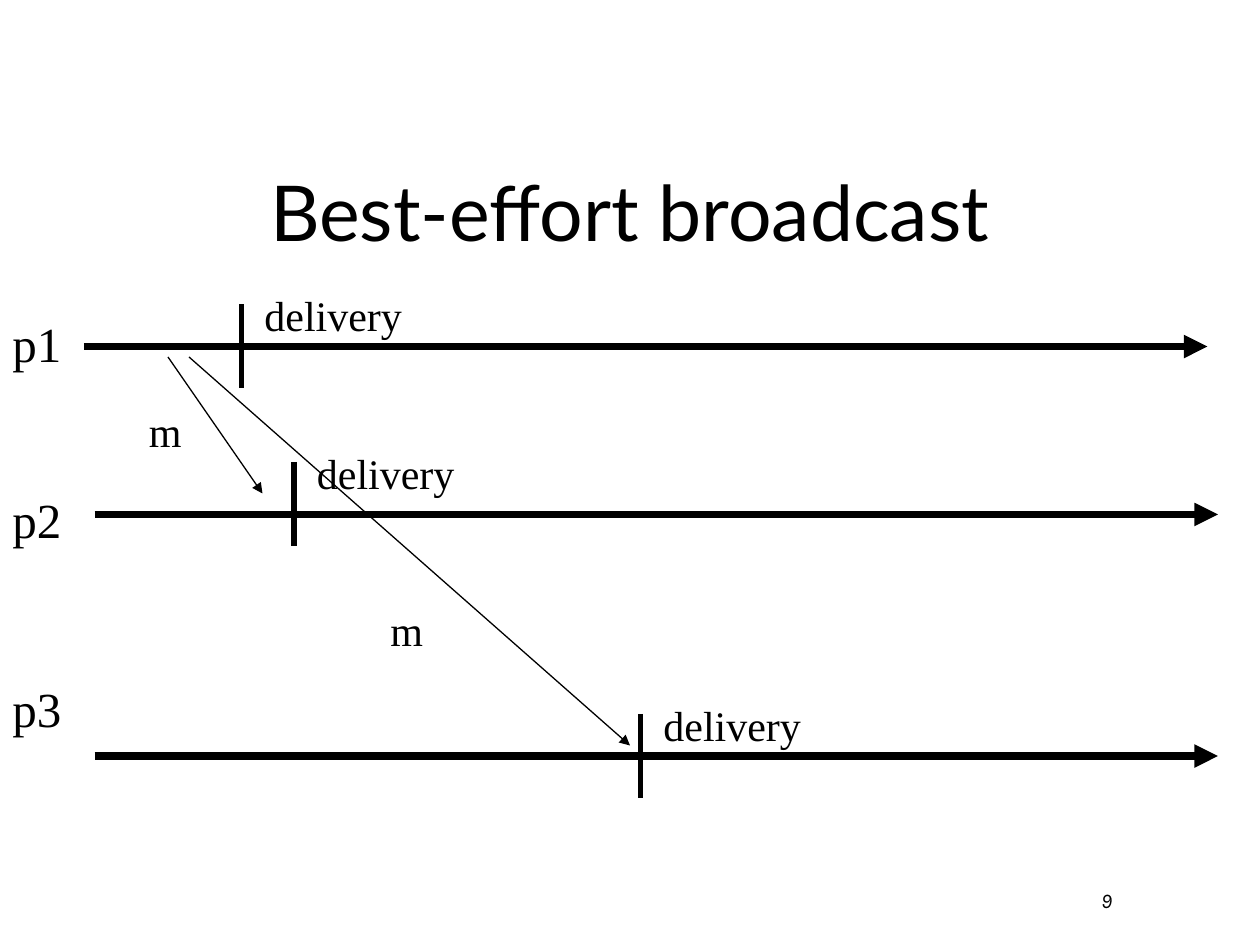
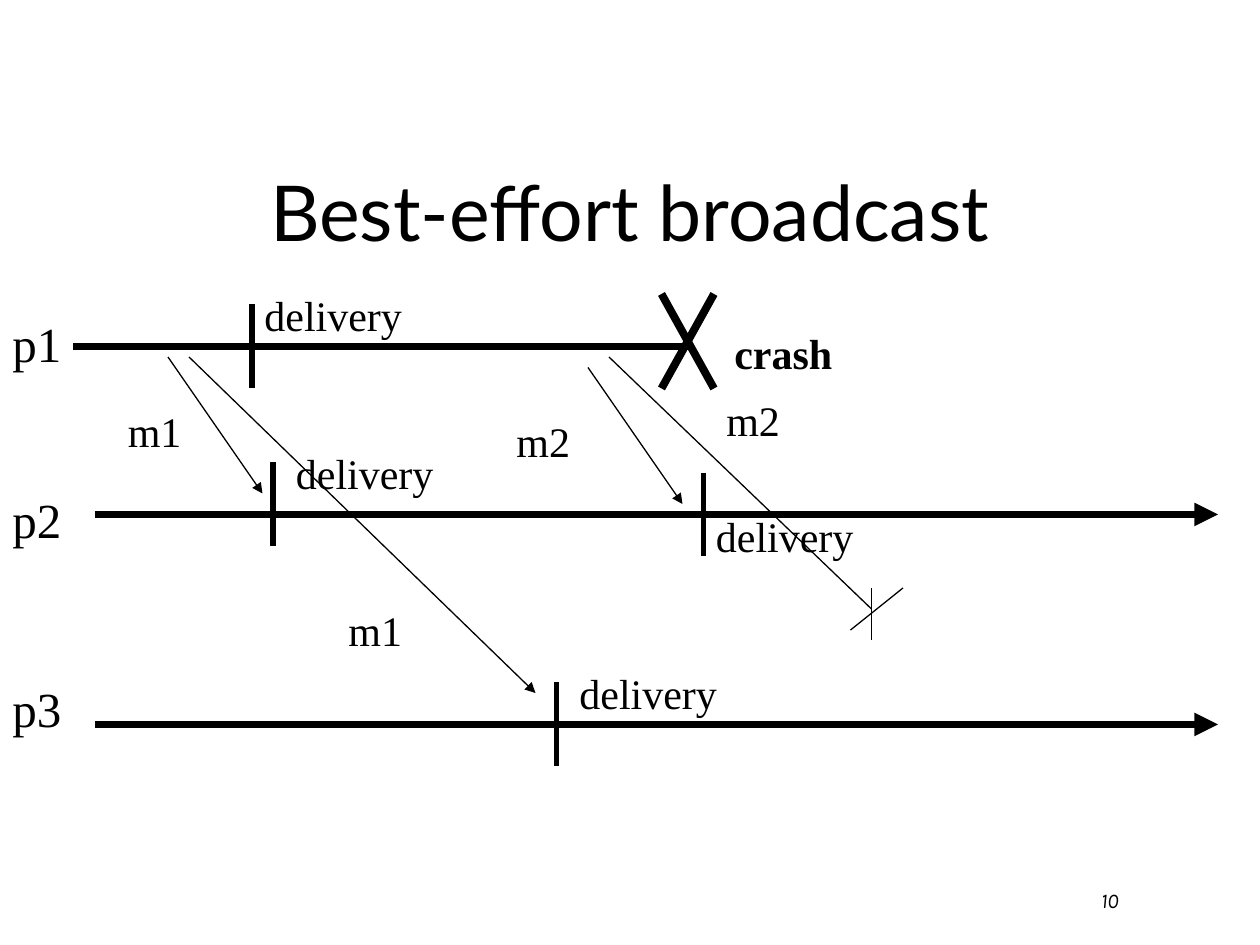
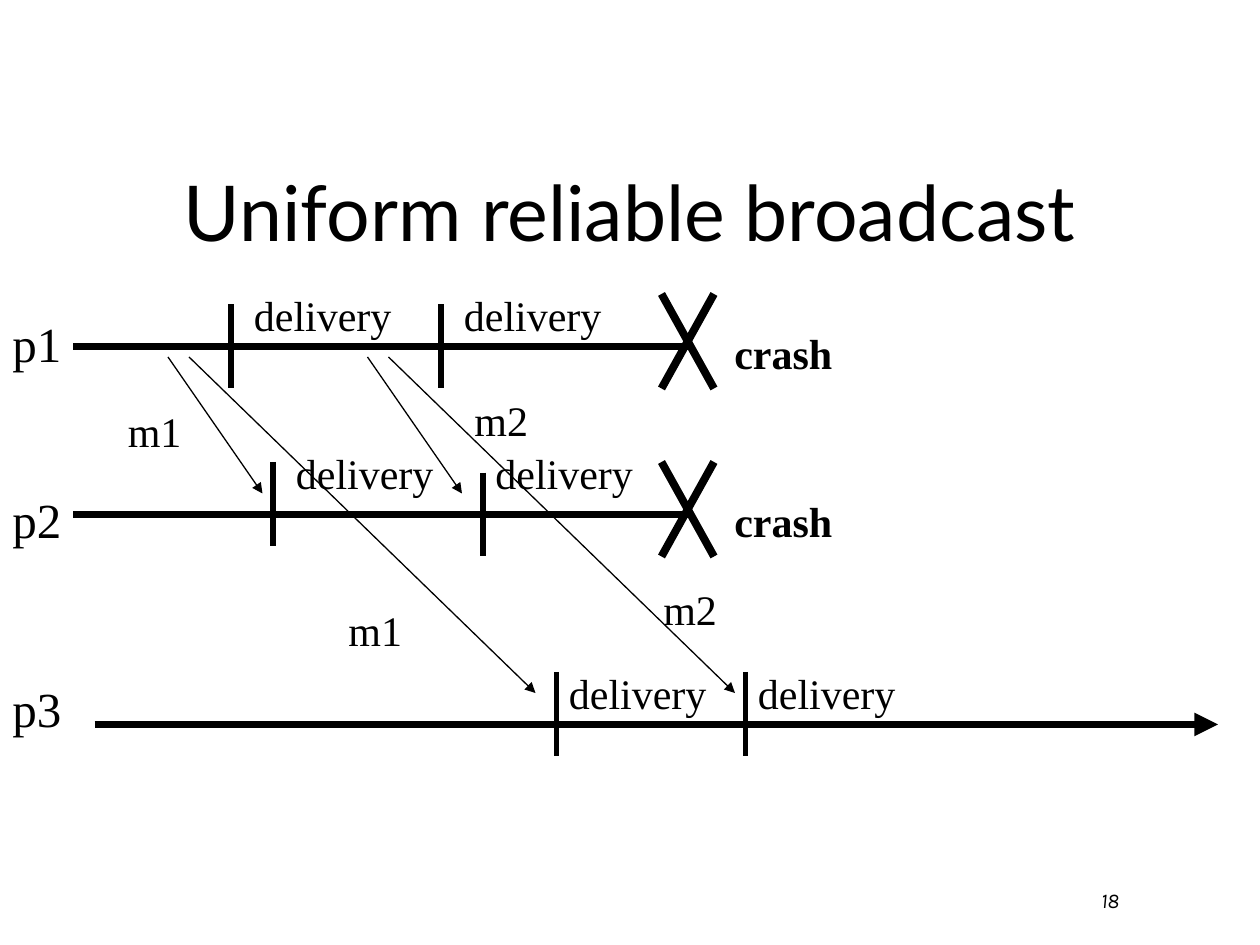
"""Builds three slides of broadcast timing diagrams for the processes p1, p2 and p3."""

from dataclasses import dataclass

from pptx import Presentation
from pptx.dml.color import RGBColor
from pptx.enum.shapes import MSO_CONNECTOR
from pptx.enum.text import MSO_ANCHOR, MSO_AUTO_SIZE, PP_ALIGN
from pptx.oxml.ns import qn
from pptx.slide import Slide
from pptx.util import Cm, Length, Pt

STRAIGHT = MSO_CONNECTOR.STRAIGHT
TOP, MIDDLE, BOTTOM = MSO_ANCHOR.TOP, MSO_ANCHOR.MIDDLE, MSO_ANCHOR.BOTTOM
LEFT, CENTER = PP_ALIGN.LEFT, PP_ALIGN.CENTER
FIT_TEXT = MSO_AUTO_SIZE.SHAPE_TO_FIT_TEXT

GRID_PER_INCH = 12
TICK_HEIGHT = 8
PROCESS_LABEL_TOPS = {"p1": 29.3, "p2": 46, "p3": 64}


@dataclass(frozen=True)
class TextStyle:
    """Typeface and emphasis of one kind of text."""
    font: str
    size: float
    bold: bool = False
    italic: bool = False


@dataclass(frozen=True)
class Theme:
    """Colours, type and line widths shared by the slides."""
    ink: RGBColor = RGBColor(0, 0, 0)
    paper: RGBColor = RGBColor(255, 255, 255)
    title: TextStyle = TextStyle("Lato", 44)
    number: TextStyle = TextStyle("Karla", 12, italic=True)
    process: TextStyle = TextStyle("Times New Roman", 28)
    label: TextStyle = TextStyle("Times New Roman", 24)
    crash: TextStyle = TextStyle("Times New Roman", 24, bold=True)
    timeline_width: float = 4.5
    tick_width: float = 3
    message_width: float = 0.75


@dataclass(frozen=True)
class Timeline:
    """Life of a process, ending in an arrow or a crash."""
    start: float
    end: float
    y: float
    crashed: bool = False


@dataclass(frozen=True)
class Message:
    """Message sent from one point to another, possibly lost."""
    start_x: float
    start_y: float
    end_x: float
    end_y: float
    lost: bool = False


@dataclass(frozen=True)
class Label:
    """Name of a message beside its line."""
    text: str
    x: float
    y: float
    width: float = 7.5


@dataclass(frozen=True)
class Delivery:
    """Delivery tick and the offset of its caption."""
    x: float
    top: float
    label_dx: float = 1
    label_dy: float = -2


@dataclass(frozen=True)
class Diagram:
    """Contents of one slide."""
    title: str
    number: str
    timelines: list[Timeline]
    messages: list[Message]
    labels: list[Label]
    deliveries: list[Delivery]


THEME = Theme()
CRASHED_P1 = Timeline(7, 66, 33, crashed=True)
CRASHED_P2 = Timeline(7, 66, 49, crashed=True)
LIVE_P2 = Timeline(9, 116, 49)
LIVE_P3 = Timeline(9, 116, 69)
FIRST_TO_P2 = Message(16, 34, 25, 47)
FIRST_TO_P3 = Message(18, 34, 51, 66)
FIRST_LABELS = [Label("m1", 11, 38), Label("m1", 32, 57, 9.5)]

DIAGRAMS = [
    Diagram(
        "Best-effort broadcast", "9",
        [Timeline(8, 115, 33), LIVE_P2, Timeline(9, 116, 72)],
        [FIRST_TO_P2, Message(18, 34, 60, 71)],
        [Label("m", 13, 38, 5.5), Label("m", 36, 57, 5.5)],
        [Delivery(23, 29), Delivery(28, 44), Delivery(61, 68)],
    ),
    Diagram(
        "Best-effort broadcast", "10",
        [CRASHED_P1, LIVE_P2, LIVE_P3],
        [FIRST_TO_P2, FIRST_TO_P3, Message(56, 35, 65, 48),
         Message(58, 34, 83, 58, lost=True)],
        [*FIRST_LABELS, Label("m2", 48, 39, 10.5), Label("m2", 68, 37)],
        [Delivery(24, 29, 0), Delivery(26, 44), Delivery(67, 45, 0, 3),
         Delivery(53, 65)],
    ),
    Diagram(
        "Uniform reliable broadcast", "18",
        [CRASHED_P1, CRASHED_P2, LIVE_P3],
        [FIRST_TO_P2, FIRST_TO_P3, Message(35, 34, 44, 47),
         Message(37, 34, 70, 66)],
        [*FIRST_LABELS, Label("m2", 44, 37, 10.5), Label("m2", 62, 55)],
        [Delivery(22, 29), Delivery(42, 29), Delivery(26, 44),
         Delivery(46, 45, 0, -3), Delivery(53, 64, 0, -1),
         Delivery(71, 64, 0, -1)],
    ),
]


def grid(units: float) -> Length:
    """Converts grid units to a length."""
    return Cm(units * 2.54 / GRID_PER_INCH)


def add_text(slide: Slide, text: str, style: TextStyle, left: float, top: float,
             width: float, height: float, anchor: MSO_ANCHOR = TOP,
             alignment: PP_ALIGN = LEFT, wrap: bool = False) -> None:
    """Adds one line of text in a box measured in grid units."""
    box = slide.shapes.add_textbox(*map(grid, (left, top, width, height)))
    frame = box.text_frame
    frame.word_wrap = wrap
    frame.vertical_anchor = anchor
    if not wrap:
        frame.auto_size = FIT_TEXT
    frame.text = text
    paragraph = frame.paragraphs[0]
    paragraph.alignment = alignment
    font = paragraph.runs[0].font
    font.name, font.size = style.font, Pt(style.size)
    font.bold, font.italic = style.bold, style.italic
    font.color.rgb = THEME.ink


def add_line(slide: Slide, start_x: float, start_y: float, end_x: float,
             end_y: float, width: float, arrow: bool = False) -> None:
    """Adds a straight line between two grid points."""
    connector = slide.shapes.add_connector(
        STRAIGHT, *map(grid, (start_x, start_y, end_x, end_y)))
    connector.line.color.rgb = THEME.ink
    connector.line.width = Pt(width)
    properties = connector.element.spPr
    if arrow:
        line = properties.find(qn("a:ln"))
        tail = line.makeelement(qn("a:tailEnd"), {"type": "triangle"})
        line.append(tail)
    properties.append(properties.makeelement(qn("a:effectLst"), {}))


def add_timeline(slide: Slide, timeline: Timeline) -> None:
    """Draws a process line and, where it crashes, a cross and a caption."""
    y, end, width = timeline.y, timeline.end, THEME.timeline_width
    add_line(slide, timeline.start, y, end, y, width, not timeline.crashed)
    if timeline.crashed:
        add_line(slide, end + 2, y - 5, end - 3, y + 4, width)
        add_line(slide, end - 3, y - 5, end + 2, y + 4, width)
        add_text(slide, "crash", THEME.crash, end + 2.76, y - 2.4, 11.75, 6)


def add_message(slide: Slide, message: Message) -> None:
    """Draws a message arrow, or a line ending in a small cross when lost."""
    x, y, width = message.end_x, message.end_y, THEME.message_width
    add_line(slide, message.start_x, message.start_y, x, y, width,
             not message.lost)
    if message.lost:
        add_line(slide, x + 3, y - 2, x - 2, y + 2, width)
        add_line(slide, x, y - 2, x, y + 3, width)


def add_delivery(slide: Slide, delivery: Delivery) -> None:
    """Draws a delivery tick and its caption."""
    x, top = delivery.x, delivery.top
    add_line(slide, x, top, x, top + TICK_HEIGHT, THEME.tick_width)
    add_text(slide, "delivery", THEME.label, x + delivery.label_dx,
             top + delivery.label_dy, 15.5, 6)


def add_diagram(presentation: Presentation, diagram: Diagram) -> None:
    """Adds a slide with its title, number and timing diagram."""
    slide = presentation.slides.add_slide(presentation.slide_layouts[6])
    slide.background.fill.solid()
    slide.background.fill.fore_color.rgb = THEME.paper
    add_text(slide, diagram.number, THEME.number, 103.7, 84.7, 7.4, 2,
             MIDDLE, wrap=True)
    add_text(slide, diagram.title, THEME.title, 9, 10.1, 102, 15,
             BOTTOM, CENTER, wrap=True)
    for timeline in diagram.timelines:
        add_timeline(slide, timeline)
    for name, top in PROCESS_LABEL_TOPS.items():
        add_text(slide, name, THEME.process, 0, top, 7.1, 6.85)
    for message in diagram.messages:
        add_message(slide, message)
    for label in diagram.labels:
        add_text(slide, label.text, THEME.label, label.x, label.y, label.width, 6)
    for delivery in diagram.deliveries:
        add_delivery(slide, delivery)


def main() -> None:
    """Builds and saves the presentation."""
    presentation = Presentation()
    presentation.slide_width, presentation.slide_height = Cm(25.4), Cm(19.05)
    for diagram in DIAGRAMS:
        add_diagram(presentation, diagram)
    presentation.save("out.pptx")


if __name__ == "__main__":
    main()
